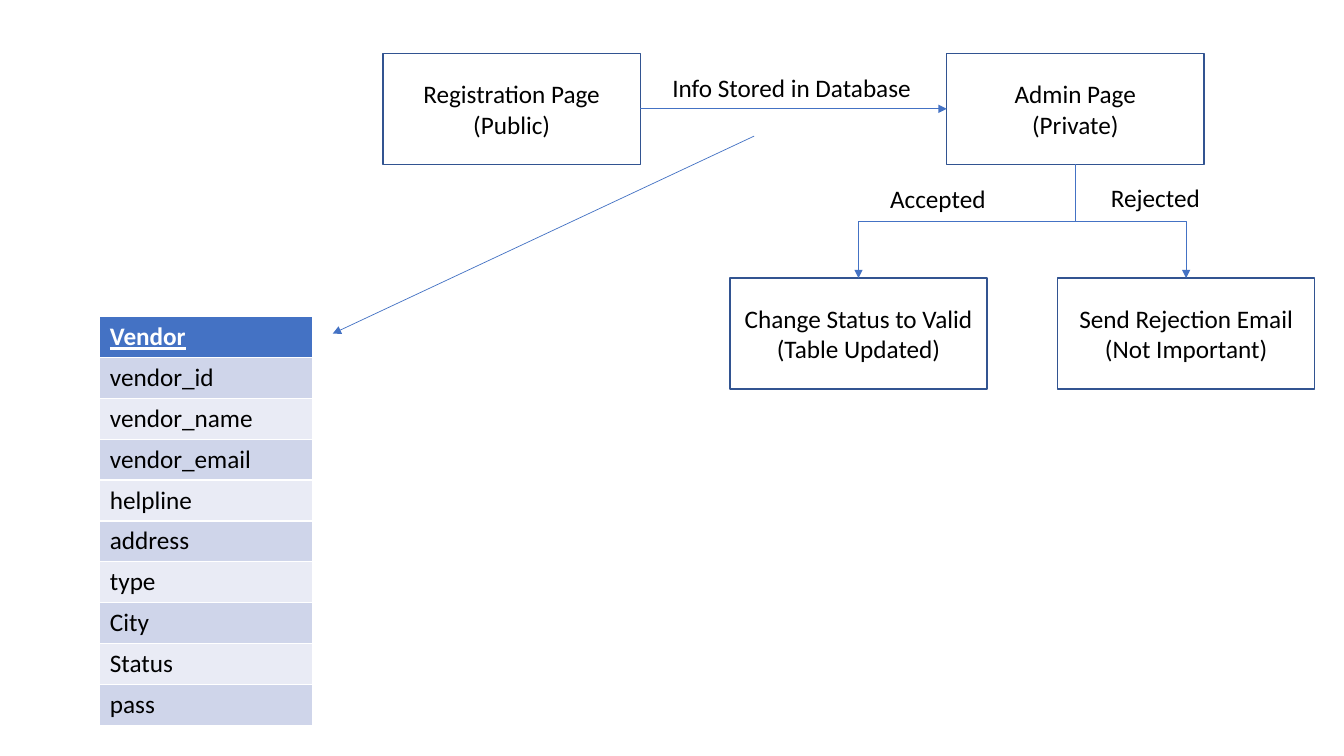
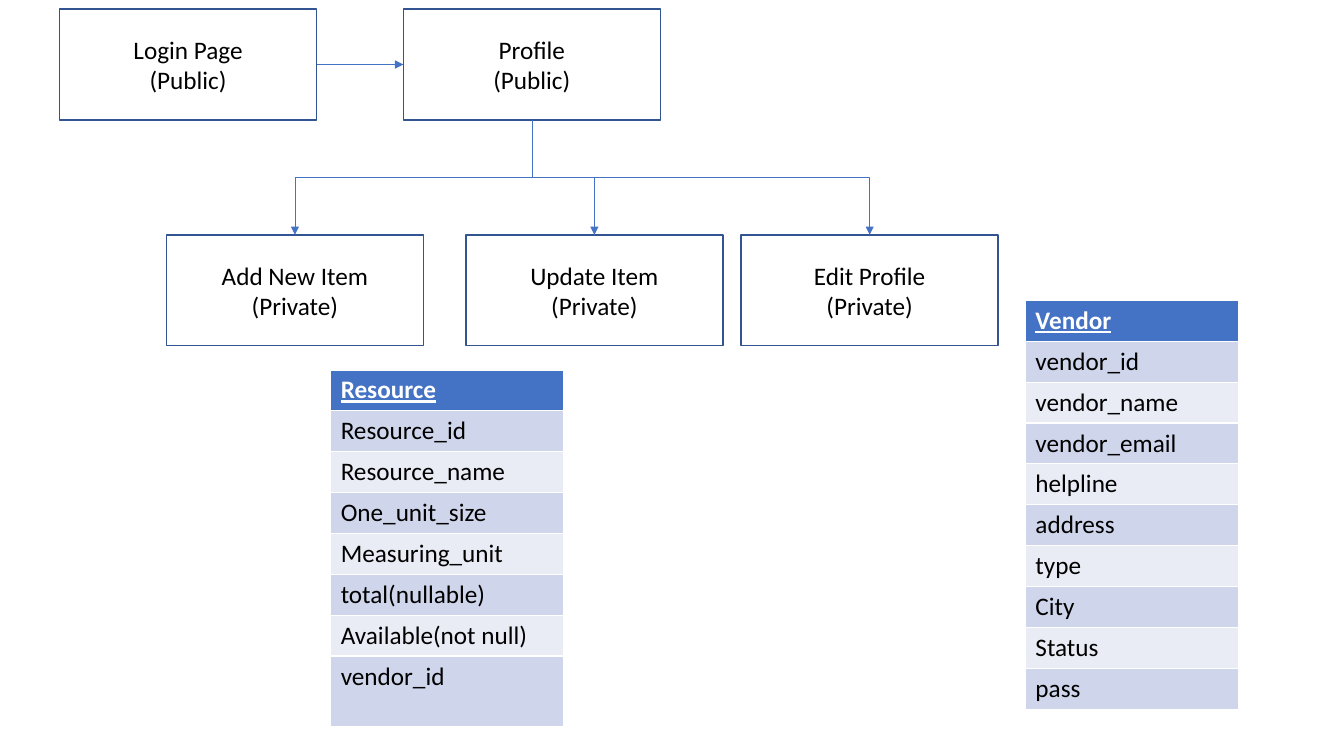
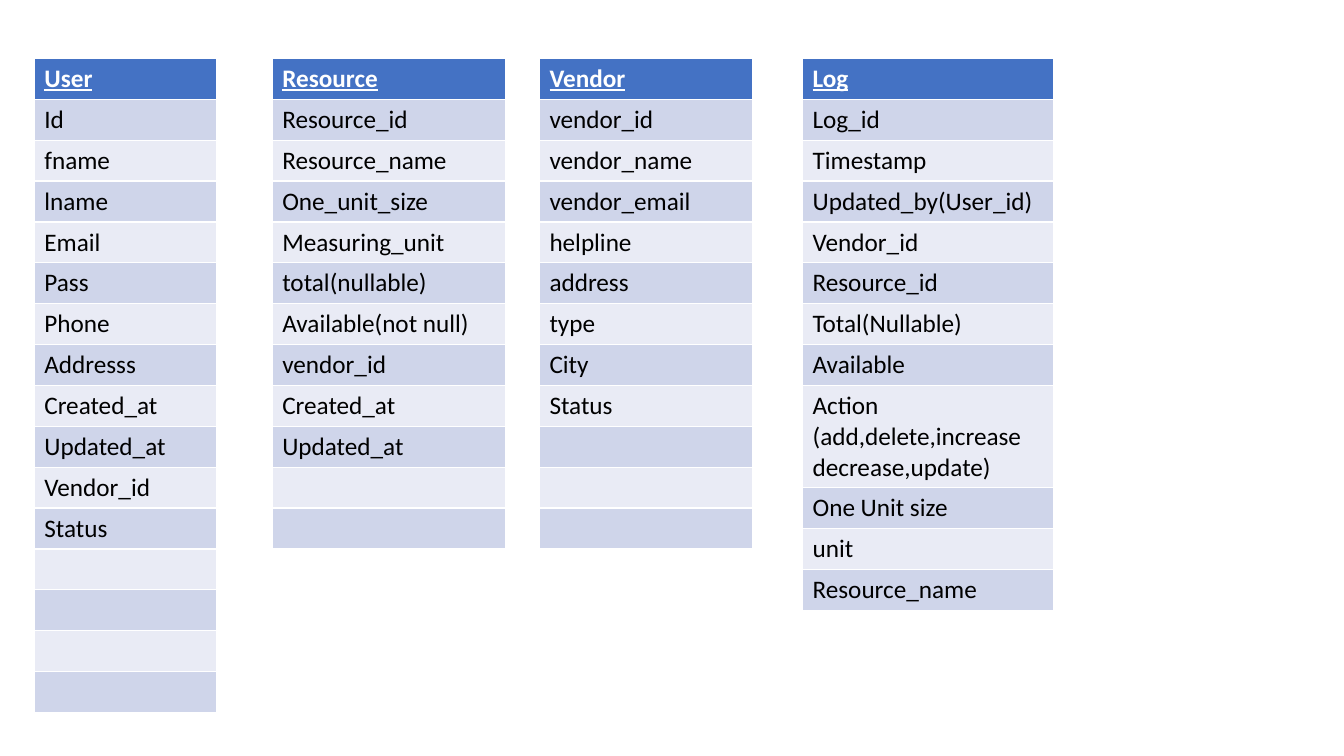
from dataclasses import dataclass
from typing import Any

from pptx import Presentation
from pptx.dml.color import RGBColor
from pptx.enum.shapes import MSO_CONNECTOR, MSO_SHAPE
from pptx.enum.text import MSO_ANCHOR, MSO_AUTO_SIZE, PP_ALIGN
from pptx.oxml.ns import qn
from pptx.slide import Slide
from pptx.text.text import TextFrame
from pptx.util import Inches, Pt
from lxml import etree

PROCESS = MSO_SHAPE.FLOWCHART_PROCESS
STRAIGHT = MSO_CONNECTOR.STRAIGHT
ELBOW = MSO_CONNECTOR.ELBOW
MIDDLE = MSO_ANCHOR.MIDDLE
GROW = MSO_AUTO_SIZE.SHAPE_TO_FIT_TEXT
LEFT = PP_ALIGN.LEFT
CENTER = PP_ALIGN.CENTER


@dataclass(frozen=True)
class Theme:
    white: RGBColor = RGBColor(0xFF, 0xFF, 0xFF)
    black: RGBColor = RGBColor(0, 0, 0)
    blue: RGBColor = RGBColor(0x44, 0x72, 0xC4)
    edge: RGBColor = RGBColor(0x32, 0x54, 0x91)
    bands: tuple[RGBColor, RGBColor] = (
        RGBColor(0xCF, 0xD5, 0xEA),
        RGBColor(0xE9, 0xEB, 0xF5),
    )
    font: str = "Calibri"
    size: float = 18
    border: float = 1
    thin: float = 0.5


THEME = Theme()
BODY = {"name": THEME.font, "size": Pt(THEME.size), "bold": False}
HEAD = BODY | {"bold": True, "underline": True}
BOX_W, BOX_H = 2.55, 1.1
ROW_H = 6.49 / 16
QUARTER = 90 * 60000


@dataclass(frozen=True)
class Box:
    left: float
    top: float
    text: str

    @property
    def mid(self) -> tuple[float, float]:
        return self.left + BOX_W / 2, self.top + BOX_H / 2


@dataclass(frozen=True)
class Label:
    left: float
    top: float
    width: float
    text: str


@dataclass(frozen=True)
class Grid:
    left: float
    top: float
    width: float
    name: str
    fields: tuple[str, ...]
    blanks: int = 0
    tall: tuple[int, float] | None = None


def assign(target: Any, values: dict[str, Any]) -> None:
    for key, value in values.items():
        setattr(target, key, value)


def write(
    frame: TextFrame,
    text: str,
    look: dict[str, Any],
    color: RGBColor = THEME.black,
    align: PP_ALIGN = LEFT,
) -> None:
    frame.text = text
    for para in frame.paragraphs:
        para.alignment = align
        for run in para.runs:
            assign(run.font, look)
            run.font.color.rgb = color


def draw_box(slide: Slide, box: Box) -> None:
    shape = slide.shapes.add_shape(
        PROCESS, Inches(box.left), Inches(box.top), Inches(BOX_W), Inches(BOX_H)
    )
    shape.shadow.inherit = False
    shape.fill.solid()
    shape.fill.fore_color.rgb = THEME.white
    shape.line.color.rgb = THEME.edge
    shape.line.width = Pt(THEME.border)
    assign(shape.text_frame, {"word_wrap": True, "vertical_anchor": MIDDLE})
    write(shape.text_frame, box.text, BODY, align=CENTER)


def draw_label(slide: Slide, label: Label) -> None:
    shape = slide.shapes.add_textbox(
        Inches(label.left), Inches(label.top), Inches(label.width), Inches(0.4)
    )
    assign(shape.text_frame, {"word_wrap": False, "auto_size": GROW})
    write(shape.text_frame, label.text, BODY)


def draw_arrow(
    slide: Slide, kind: MSO_CONNECTOR, x1: float, y1: float, x2: float, y2: float
) -> Any:
    arrow = slide.shapes.add_connector(
        kind, Inches(x1), Inches(y1), Inches(x2), Inches(y2)
    )
    arrow.line.color.rgb = THEME.blue
    arrow.line.width = Pt(THEME.thin)
    tail = etree.SubElement(arrow.line._get_or_add_ln(), qn("a:tailEnd"))
    tail.set("type", "triangle")
    etree.SubElement(arrow._element.spPr, qn("a:effectLst"))
    return arrow


def link_across(slide: Slide, start: Box, end: Box) -> None:
    y = start.mid[1]
    draw_arrow(slide, STRAIGHT, start.left + BOX_W, y, end.left, y)


def link_down(slide: Slide, start: Box, end: Box) -> None:
    x1, y1 = start.mid[0], start.top + BOX_H
    x2, y2 = end.mid[0], end.top
    mid_x, mid_y = (x1 + x2) / 2, (y1 + y2) / 2
    half_w, half_h = (y2 - y1) / 2, abs(x2 - x1) / 2
    right = x2 > x1
    side = half_w if right else -half_w
    arrow = draw_arrow(
        slide, ELBOW, mid_x + side, mid_y - half_h, mid_x - side, mid_y + half_h
    )
    turn = 3 * QUARTER if right else QUARTER
    arrow._element.spPr.find(qn("a:xfrm")).set("rot", str(turn))


def draw_grid(slide: Slide, grid: Grid) -> None:
    texts = (grid.name, *grid.fields, *[""] * grid.blanks)
    table = slide.shapes.add_table(
        len(texts), 1, Inches(grid.left), Inches(grid.top),
        Inches(grid.width), Inches(ROW_H * len(texts)),
    ).table
    for i, text in enumerate(texts):
        table.rows[i].height = Inches(ROW_H)
        cell = table.cell(i, 0)
        cell.fill.solid()
        cell.fill.fore_color.rgb = THEME.bands[(i - 1) % 2] if i else THEME.blue
        if text:
            look, color = (BODY, THEME.black) if i else (HEAD, THEME.white)
            write(cell.text_frame, text, look, color)
    if grid.tall:
        row, height = grid.tall
        table.rows[row].height = Inches(height)


VENDOR = (
    "vendor_id", "vendor_name", "vendor_email", "helpline",
    "address", "type", "City", "Status",
)
RESOURCE = (
    "Resource_id", "Resource_name", "One_unit_size", "Measuring_unit",
    "total(nullable)", "Available(not null)", "vendor_id",
)
USER = (
    "Id", "fname", "lname", "Email", "Pass", "Phone", "Addresss",
    "Created_at", "Updated_at", "Vendor_id", "Status",
)
LOG = (
    "Log_id", "Timestamp", "Updated_by(User_id)", "Vendor_id", "Resource_id",
    "Total(Nullable)", "Available",
    "Action\n(add,delete,increase decrease,update)",
    "One Unit size", "unit", "Resource_name",
)


def draw_flow(
    slide: Slide, first: Box, second: Box, steps: tuple[Box, ...]
) -> None:
    for box in (first, second, *steps):
        draw_box(slide, box)
    link_across(slide, first, second)
    for step in steps:
        link_down(slide, second, step)


def sign_up(slide: Slide) -> None:
    draw_flow(
        slide,
        Box(3.8, 0.53, "Registration Page\n(Public)"),
        Box(9.39, 0.53, "Admin Page\n(Private)"),
        (
            Box(7.24, 2.76, "Change Status to Valid\n(Table Updated)"),
            Box(10.49, 2.76, "Send Rejection Email\n(Not Important)"),
        ),
    )
    for label in (
        Label(6.57, 0.67, 2.6, "Info Stored in Database"),
        Label(8.73, 1.77, 1.16, "Accepted"),
        Label(10.92, 1.76, 1.09, "Rejected"),
    ):
        draw_label(slide, label)
    draw_arrow(slide, STRAIGHT, 7.48, 1.35, 3.3, 3.31)
    draw_grid(slide, Grid(0.99, 3.14, 2.11, "Vendor", (*VENDOR, "pass")))


def log_in(slide: Slide) -> None:
    draw_flow(
        slide,
        Box(0.59, 0.09, "Login Page\n(Public)"),
        Box(4, 0.09, "Profile\n(Public)"),
        (
            Box(1.65, 2.33, "Add New Item\n(Private)"),
            Box(4.62, 2.33, "Update Item\n(Private)"),
            Box(7.35, 2.33, "Edit Profile\n(Private)"),
        ),
    )
    draw_grid(slide, Grid(3.28, 3.67, 2.31, "Resource", RESOURCE, tall=(7, 0.7)))
    draw_grid(slide, Grid(10.17, 2.98, 2.11, "Vendor", (*VENDOR, "pass")))


def schema(slide: Slide) -> None:
    top = 0.58
    stamped = (*RESOURCE, "Created_at", "Updated_at")
    for grid in (
        Grid(0.34, top, 1.81, "User", USER, blanks=4),
        Grid(2.7, top, 2.31, "Resource", stamped, blanks=2),
        Grid(5.35, top, 2.11, "Vendor", VENDOR, blanks=3),
        Grid(7.96, top, 2.49, "Log", LOG, tall=(8, 1)),
    ):
        draw_grid(slide, grid)


def main() -> None:
    deck = Presentation()
    deck.slide_width, deck.slide_height = Inches(13.33), Inches(7.5)
    blank = deck.slide_layouts[6]
    for draw in (sign_up, log_in, schema):
        draw(deck.slides.add_slide(blank))
    deck.save("out.pptx")


main()
